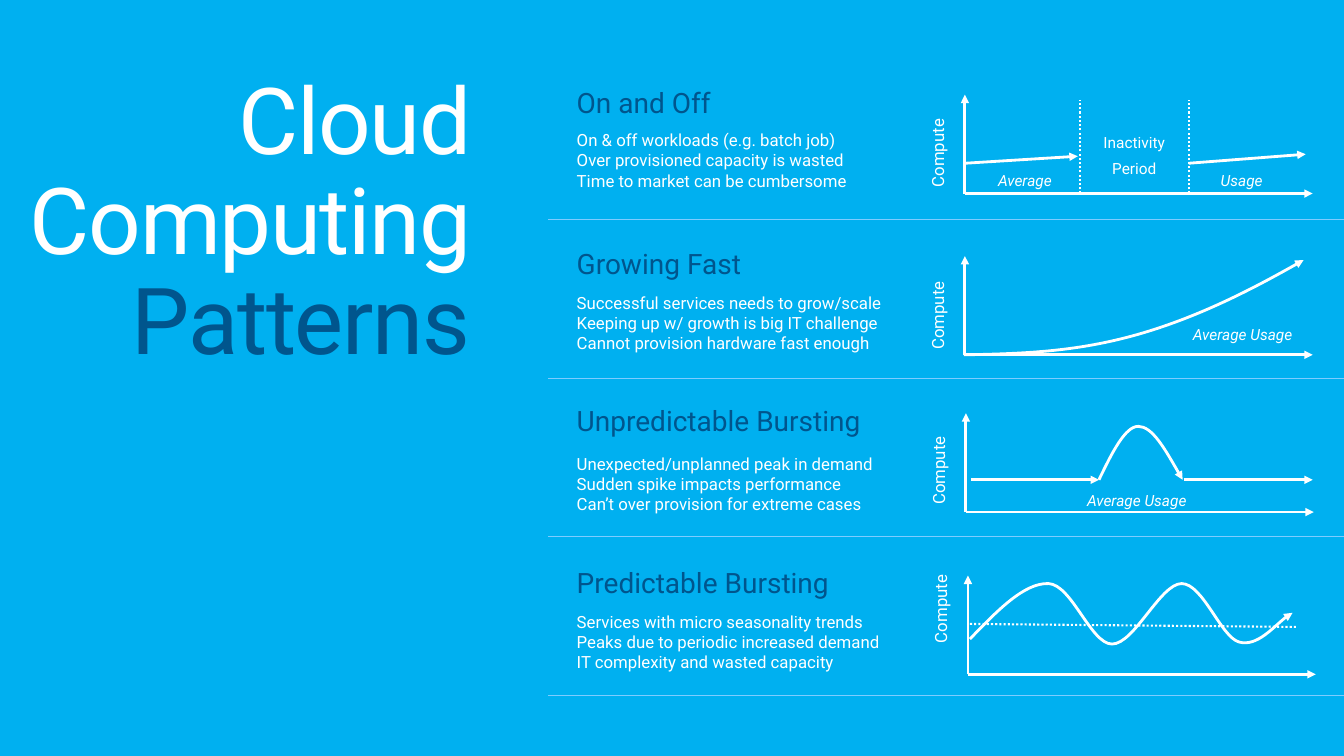
from dataclasses import dataclass

from lxml import etree
from pptx import Presentation
from pptx.dml.color import RGBColor
from pptx.enum.dml import MSO_LINE
from pptx.enum.shapes import MSO_CONNECTOR
from pptx.enum.text import MSO_ANCHOR, MSO_AUTO_SIZE, PP_ALIGN
from pptx.oxml.ns import qn
from pptx.util import Inches, Pt

STRAIGHT = MSO_CONNECTOR.STRAIGHT
DOTTED = MSO_LINE.ROUND_DOT
TOP = MSO_ANCHOR.TOP
NO_AUTOFIT = MSO_AUTO_SIZE.NONE
LEFT, CENTER, RIGHT = PP_ALIGN.LEFT, PP_ALIGN.CENTER, PP_ALIGN.RIGHT
TITLE_ONLY = 5


@dataclass(frozen=True)
class Theme:
    font: str = "Roboto"
    background: str = "00B0F0"
    light: str = "FFFFFF"
    dark: str = "00558D"
    rule: str = "7ECCFF"
    title_size: float = 66
    heading_size: float = 20
    body_size: float = 12
    label_size: float = 11
    curve_width: float = 2
    dotted_width: float = 1.5
    rule_width: float = 0.75


# Heading and body tops, origin of the chart, height of its axis label
PATTERNS = [
    ("On and Off", 0.84, 1.29, (9.57, 1.92), 1.52,
     ["On & off workloads (e.g. batch job)",
      "Over provisioned capacity is wasted",
      "Time to market can be cumbersome"]),
    ("Growing Fast", 2.43, 2.9, (9.57, 3.52), 3.13,
     ["Successful services needs to grow/scale",
      "Keeping up w/ growth is big IT challenge",
      "Cannot provision hardware fast enough"]),
    ("Unpredictable Bursting", 3.99, 4.5, (9.58, 5.08), 4.67,
     ["Unexpected/unplanned peak in demand",
      "Sudden spike impacts performance",
      "Can’t over provision for extreme cases"]),
    ("Predictable Bursting", 5.6, 6.07, (9.6, 6.69), 6.04,
     ["Services with micro seasonality trends",
      "Peaks due to periodic increased demand",
      "IT complexity and wasted capacity"]),
]

# Each curve is a start point followed by triples of Bézier points
GROWTH = [(9.56, 3.52), (10.22, 3.51), (10.71, 3.48), (11.28, 3.32),
          (11.84, 3.16), (12.39, 2.89), (12.93, 2.58)]
BURST = [(10.9, 4.76), (11.03, 4.49), (11.16, 4.23), (11.29, 4.23),
         (11.43, 4.23), (11.58, 4.5), (11.73, 4.76)]
WAVE = [(9.62, 6.34), (9.89, 6.06), (10.16, 5.78), (10.4, 5.79),
        (10.63, 5.8), (10.82, 6.39), (11.03, 6.39),
        (11.25, 6.39), (11.51, 5.79), (11.72, 5.79),
        (11.93, 5.79), (12.11, 6.32), (12.29, 6.37),
        (12.47, 6.42), (12.71, 6.13), (12.82, 6.08)]

AVERAGE_LABELS = [("Average", 9.54, 1.7), ("Usage", 11.69, 1.7),
                  ("Average Usage", 11.7, 3.23), ("Average Usage", 10.65, 4.87)]
USAGE_ARROWS = [((9.57, 1.62), (10.69, 1.55)), ((11.79, 1.62), (12.95, 1.53)),
                ((9.63, 4.76), (10.9, 4.76)), ((11.74, 4.76), (13.02, 4.76))]
DOTTED_LINES = [((10.71, 1.92), (10.71, 0.99)), ((11.79, 1.92), (11.79, 0.99)),
                ((9.62, 6.19), (12.86, 6.22))]


def apply(target, values):
    for name, value in values.items():
        setattr(target, name, value)


class SlideBuilder:
    def __init__(self, slide, theme):
        self.slide = slide
        self.theme = theme
        fill = slide.background.fill
        fill.solid()
        fill.fore_color.rgb = RGBColor.from_string(theme.background)

    def frame(self, shape, margins=(0, 0)):
        side, edge = map(Inches, margins)
        apply(shape.text_frame, {
            "word_wrap": True, "auto_size": NO_AUTOFIT, "vertical_anchor": TOP,
            "margin_left": side, "margin_right": side,
            "margin_top": edge, "margin_bottom": edge})
        return shape.text_frame

    def span(self, para, text, size, color, italic=False):
        span = para.add_run()
        span.text = text
        apply(span.font, {"name": self.theme.font, "size": Pt(size), "italic": italic})
        span.font.color.rgb = RGBColor.from_string(color)
        return span

    def title(self, spans, left, top, width, height):
        title = self.slide.shapes.title
        apply(title, {"left": Inches(left), "top": Inches(top),
                      "width": Inches(width), "height": Inches(height)})
        para = self.frame(title).paragraphs[0]
        apply(para, {"alignment": RIGHT, "line_spacing": 0.9})
        for text, color in spans:
            span = self.span(para, text, self.theme.title_size, color)
            span.font._element.set("spc", "-100")

    def text(self, lines, left, top, width, height, size, color=None,
             margins=(0, 0), italic=False, rotation=0, **para_format):
        box = self.slide.shapes.add_textbox(
            Inches(left), Inches(top), Inches(width), Inches(height))
        box.rotation = rotation
        frame = self.frame(box, margins)
        for index, line in enumerate(lines):
            para = frame.add_paragraph() if index else frame.paragraphs[0]
            apply(para, para_format)
            self.span(para, line, size, color or self.theme.light, italic)

    def stroke(self, shape, color, width, dash=None, arrow=False):
        apply(shape.line, {"width": Pt(width), "dash_style": dash})
        shape.line.color.rgb = RGBColor.from_string(color)
        if arrow:
            outline = shape.line._get_or_add_ln()
            etree.SubElement(outline, qn("a:tailEnd"), type="triangle")

    def line(self, start, end, width, color=None, dash=None, arrow=False):
        line = self.slide.shapes.add_connector(
            STRAIGHT, *(Inches(value) for value in (*start, *end)))
        self.stroke(line, color or self.theme.light, width, dash, arrow)
        etree.SubElement(line._element.spPr, qn("a:effectLst"))

    def curve(self, points):
        """Draw a freeform whose points after the first are Bézier triples."""
        start, *others = [(Inches(x), Inches(y)) for x, y in points]
        builder = self.slide.shapes.build_freeform(*start)
        builder.add_line_segments(others, close=False)
        curve = builder.convert_to_shape()
        segments = list(curve._element.iter(qn("a:lnTo")))
        for first in range(0, len(segments), 3):
            bezier, *rest = segments[first:first + 3]
            bezier.tag = qn("a:cubicBezTo")
            for segment in rest:
                bezier.append(segment[0])
                segment.getparent().remove(segment)
        curve.shadow.inherit = False
        curve.fill.background()
        self.stroke(curve, self.theme.light, self.theme.curve_width, arrow=True)

    def axes(self, origin, label_middle):
        x, y = origin
        for end in ((x, y - 0.98), (x + 3.45, y)):
            self.line(origin, end, self.theme.curve_width, arrow=True)
        self.text(["Compute"], x - 0.8, label_middle - 0.13, 1.12, 0.26,
                  self.theme.body_size, margins=(0.1, 0.05), rotation=270,
                  alignment=CENTER, line_spacing=Pt(10.7))


def main():
    deck = Presentation()
    deck.slide_width, deck.slide_height = Inches(13.33), Inches(7.5)
    theme = Theme()
    page = SlideBuilder(deck.slides.add_slide(deck.slide_layouts[TITLE_ONLY]), theme)

    page.title([("Cloud Computing ", theme.light), ("Patterns", theme.dark)],
               0.07, 0.74, 4.59, 3)
    for index, (heading, top, body_top, origin, middle, lines) in enumerate(PATTERNS):
        page.text([heading], 5.72, top, 3.33, 0.4, theme.heading_size, theme.dark,
                  margins=(0, 0.05), alignment=LEFT, line_spacing=0.9)
        page.text(lines, 5.72, body_top, 3.49, 0.61, theme.body_size, alignment=LEFT)
        page.axes(origin, middle)
        rule_y = 2.18 + index * (6.9 - 2.18) / 3
        page.line((5.44, rule_y), (13.33, rule_y), theme.rule_width, theme.rule)

    for text, left, top in AVERAGE_LABELS:
        page.text([text], left, top, 1.25, 0.15, theme.label_size,
                  italic=True, alignment=CENTER)
    page.text(["Inactivity", "Period"], 10.64, 1.31, 1.22, 0.53, theme.label_size,
              margins=(0.1, 0.05), alignment=CENTER,
              line_spacing=Pt(10.7), space_after=Pt(8))
    for start, end in USAGE_ARROWS:
        page.line(start, end, theme.curve_width, arrow=True)
    for start, end in DOTTED_LINES:
        page.line(start, end, theme.dotted_width, dash=DOTTED)
    for points in (GROWTH, BURST, WAVE):
        page.curve(points)

    deck.save("out.pptx")


if __name__ == "__main__":
    main()
